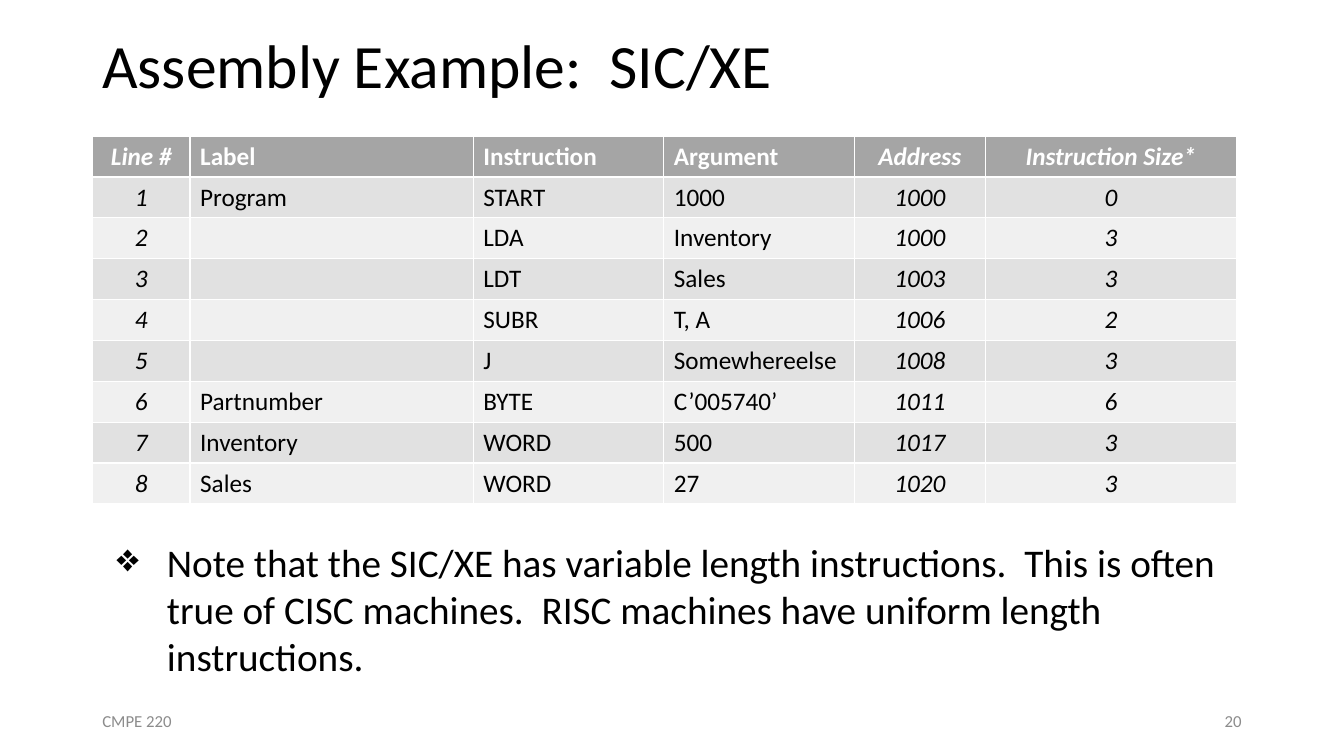
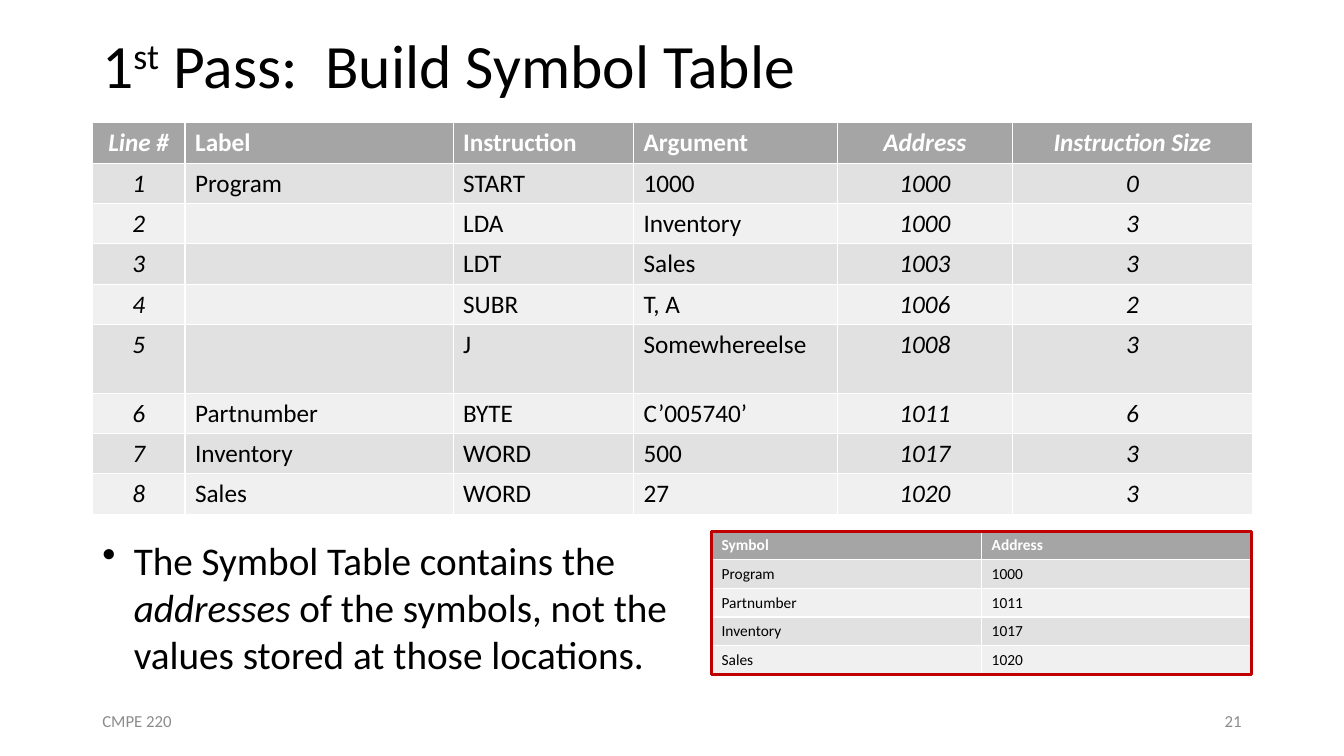
"""Builds two slides on assembling a SIC/XE program and its symbol table."""
from lxml import etree
from pptx import Presentation
from pptx.dml.color import RGBColor
from pptx.enum import shapes, text
from pptx.oxml import ns
from pptx.util import Pt

BLACK = RGBColor(0x00, 0x00, 0x00)
WHITE = RGBColor(0xFF, 0xFF, 0xFF)
GREY = RGBColor(0x8C, 0x8C, 0x8C)
HEADER = RGBColor(0xA5, 0xA5, 0xA5)
BANDS = (RGBColor(0xE1, 0xE1, 0xE1), RGBColor(0xF0, 0xF0, 0xF0))
RED = RGBColor(0xC0, 0x00, 0x00)
FONT = "Calibri"
LEFT, WIDTH = 66, 828
FOOTER_TOP, FOOTER_WIDTH, FOOTER_HEIGHT = 500.4, 216, 28.8

COURSE = "CMPE 220"
COLUMNS = ("Line #", "Label", "Instruction", "Argument", "Address")
COMPUTED = (0, 4, 5)
PROGRAM = [
    ("1", "Program", "START", "1000", "1000", "0"),
    ("2", "", "LDA", "Inventory", "1000", "3"),
    ("3", "", "LDT", "Sales", "1003", "3"),
    ("4", "", "SUBR", "T, A", "1006", "2"),
    ("5", "", "J", "Somewhereelse", "1008", "3"),
    ("6", "Partnumber", "BYTE", "C’005740’", "1011", "6"),
    ("7", "Inventory", "WORD", "500", "1017", "3"),
    ("8", "Sales", "WORD", "27", "1020", "3"),
]
SYMBOLS = [("Symbol", "Address")] + [(row[1], row[4]) for row in PROGRAM if row[1]]

SLIDES = [
    {
        "number": "20",
        "title": [("Assembly Example:  SIC/XE", "")],
        "size_heading": "Instruction Size*",
        "table_top": 97.2,
        "table_height": 262.8,
        "widths": (69.8, 202.3, 136.1, 136.1, 93.6, 179.3),
        "heights": [29.2] * 9,
        "note_box": (76.2, 381, 818, 108.6),
        "bullet": ("❖", 36),
        "note": [("Note that the SIC/XE has variable length instructions.  This is often "
                  "true of CISC machines.  RISC machines have uniform length instructions.", "")],
    },
    {
        "number": "21",
        "title": [("1", ""), ("st", "super"), (" Pass:  Build Symbol Table", "")],
        "size_heading": "Instruction Size",
        "table_top": 87.3,
        "table_height": 280,
        "widths": (66.2, 191.5, 128.9, 145.4, 125.3, 171.4),
        "heights": [29.2] + [28.2] * 4 + [49] + [28.2] * 3,
        "note_box": (LEFT, 379.4, 426, 108.6),
        "bullet": ("•", 22.5),
        "note": [("The Symbol Table contains the ", ""), ("addresses", "italic"),
                 (" of the symbols, not the values stored at those locations.", "")],
        "symbol_box": (508.2, 379.4, 386, 102.2),
    },
]


def set_font(p, size, color):
    p.font.name = FONT
    p.font.size = Pt(size)
    p.font.color.rgb = color


def add_text(slide, box, runs, size, color=BLACK, anchor=text.MSO_ANCHOR.MIDDLE):
    tf = slide.shapes.add_textbox(*map(Pt, box)).text_frame
    tf.word_wrap = True
    tf.vertical_anchor = anchor
    p = tf.paragraphs[0]
    set_font(p, size, color)
    for words, style in runs:
        r = p.add_run()
        r.text = words
        if style == "italic":
            r.font.italic = True
        elif style == "super":
            r._r.get_or_add_rPr().set("baseline", "30000")
    return p


def add_bullet(p, char, indent):
    pPr = p._p.get_or_add_pPr()
    pPr.set("marL", str(Pt(indent)))
    pPr.set("indent", str(-Pt(indent)))
    bullet = etree.Element(ns.qn("a:buChar"), char=char)
    pPr.insert(0, bullet)


def add_table(slide, box, rows, widths, heights, size, centred=()):
    frame = slide.shapes.add_table(len(rows), len(widths), *map(Pt, box))
    table = frame.table
    for column, width in zip(table.columns, widths):
        column.width = Pt(width)
    for i, (values, height) in enumerate(zip(rows, heights)):
        table.rows[i].height = Pt(height)
        for j, value in enumerate(values):
            cell = table.cell(i, j)
            cell.fill.solid()
            cell.fill.fore_color.rgb = BANDS[(i - 1) % 2] if i else HEADER
            cell.text = value
            p = cell.text_frame.paragraphs[0]
            set_font(p, size, BLACK if i else WHITE)
            p.font.bold = i == 0
            p.font.italic = j in centred
            if j in centred:
                p.alignment = text.PP_ALIGN.CENTER
    frame.height = Pt(box[3])


def add_symbol_table(slide, box):
    add_table(slide, box, SYMBOLS, [box[2] / 2] * 2, [18] * len(SYMBOLS), 11)
    sp = slide.shapes.add_shape(shapes.MSO_SHAPE.RECTANGLE, *map(Pt, box))
    sp.shadow.inherit = False
    sp.fill.background()
    sp.line.color.rgb = RED
    sp.line.width = Pt(2.25)


def add_slide(prs, data):
    slide = prs.slides.add_slide(prs.slide_layouts[6])
    title = add_text(slide, (LEFT, 0, WIDTH, 97.2), data["title"], 44)
    title.line_spacing = 0.9
    for left, words, align in (
        (LEFT, COURSE, text.PP_ALIGN.LEFT),
        (LEFT + WIDTH - FOOTER_WIDTH, data["number"], text.PP_ALIGN.RIGHT),
    ):
        box = (left, FOOTER_TOP, FOOTER_WIDTH, FOOTER_HEIGHT)
        add_text(slide, box, [(words, "")], 12, GREY).alignment = align
    note = add_text(slide, data["note_box"], data["note"], 28, anchor=text.MSO_ANCHOR.TOP)
    add_bullet(note, *data["bullet"])
    box = (LEFT, data["table_top"], sum(data["widths"]), data["table_height"])
    rows = [COLUMNS + (data["size_heading"],)] + PROGRAM
    add_table(slide, box, rows, data["widths"], data["heights"], 18, COMPUTED)
    if "symbol_box" in data:
        add_symbol_table(slide, data["symbol_box"])


def main():
    prs = Presentation()
    prs.slide_width, prs.slide_height = Pt(960), Pt(540)
    for data in SLIDES:
        add_slide(prs, data)
    prs.save("out.pptx")


if __name__ == "__main__":
    main()
